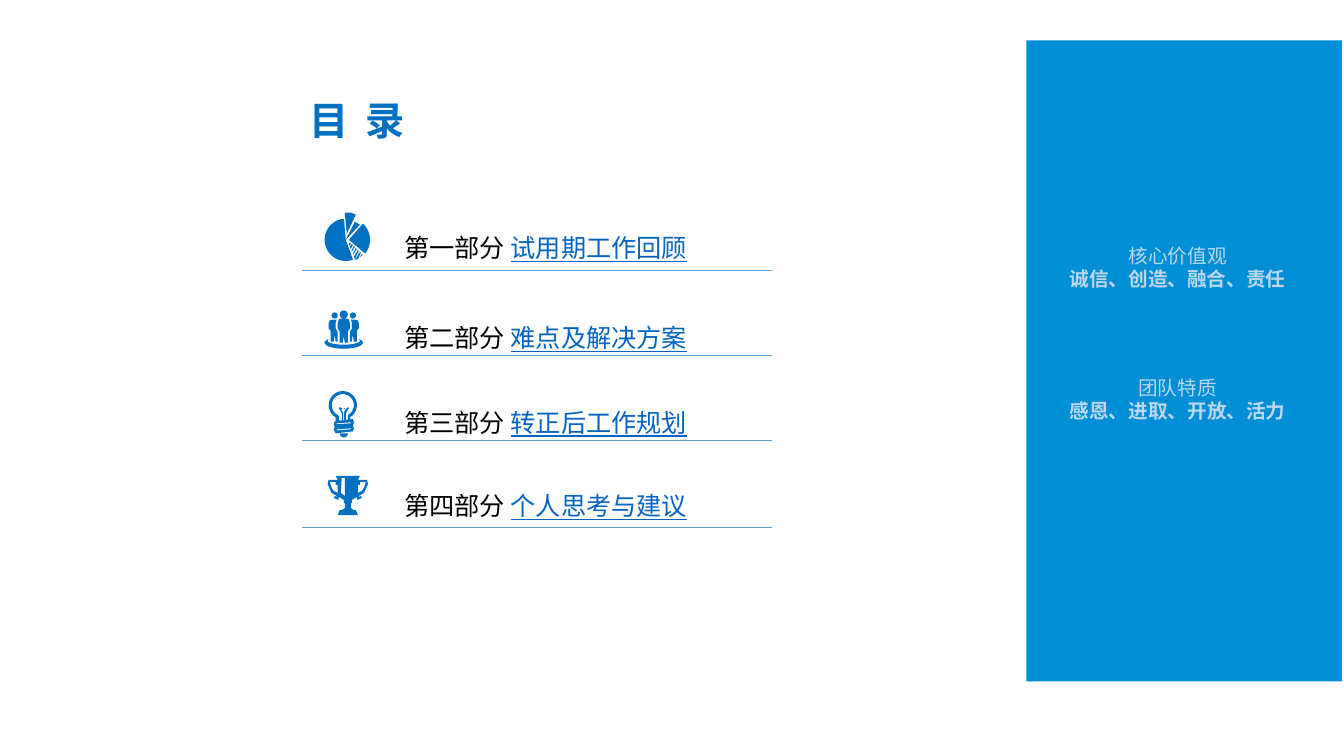
from math import cos, sin, radians
from lxml.etree import SubElement as Sub
from pptx import Presentation
from pptx.dml.color import RGBColor as RGB
from pptx.enum.shapes import MSO_CONNECTOR as Link, MSO_SHAPE as Shape
from pptx.enum.text import MSO_ANCHOR as Anchor, MSO_AUTO_SIZE as Auto, PP_ALIGN as Align
from pptx.oxml.ns import qn
from pptx.util import Inches, Pt

FONT = "Noto Sans CJK SC"
HUES = {"panel": "008ED6", "pale": "BDD7EE", "main": "0070C0",
        "rule": "5B9BD5", "text": "000000", "link": "0563C1"}


def write(par, text, size=18, hue="text", bold=False, under=False, gap=0):
    run = par.add_run()
    run.text = text
    font = run.font
    font.size, font.bold, font.underline = Pt(size), bold, under
    font.color.rgb = RGB.from_string(HUES[hue])
    font.name = FONT
    props = run._r.get_or_add_rPr()
    Sub(props, qn("a:ea")).set("typeface", FONT)
    if gap:
        props.set("spc", str(gap))


def arc(x, y, rx, ry, start=0, end=360):
    turns = [radians(start + (end - start) * i / 24) for i in range(25)]
    return [(x + rx * cos(t), y + ry * sin(t)) for t in turns]


deck = Presentation()
deck.slide_width, deck.slide_height = Inches(13.33), Inches(7.5)
slide = deck.slides.add_slide(deck.slide_layouts[5])
shapes = slide.shapes

panel = shapes.add_shape(Shape.RECTANGLE, Inches(10.18), Inches(0.4), Inches(3.13), Inches(6.36))
panel.shadow.inherit = False
panel.fill.solid()
panel.fill.fore_color.rgb = RGB.from_string(HUES["panel"])
panel.line.fill.background()

for left, top, width, head, words in [
    (10.03, 2.37, 3.3, "核心价值观", "诚信、创造、融合、责任"),
    (10.12, 3.68, 3.12, "团队特质", "感恩、进取、开放、活力"),
]:
    frame = shapes.add_textbox(Inches(left), Inches(top), Inches(width), Inches(0.57)).text_frame
    frame.word_wrap = True
    for par, text, bold in [(frame.paragraphs[0], head, False),
                            (frame.add_paragraph(), words, True)]:
        par.alignment = Align.CENTER
        write(par, text, size=14, hue="pale", bold=bold)

title = shapes.title
title.left, title.top, title.width, title.height = map(Inches, (2.97, 0.91, 2.61, 0.57))
frame = title.text_frame
frame.vertical_anchor, frame.auto_size = Anchor.TOP, Auto.NONE
frame.paragraphs[0].alignment = Align.LEFT
write(frame.paragraphs[0], "目 录", size=28, hue="main", bold=True, gap=300)

pie = [
    [(3.46, 2.38)] + arc(3.45, 2.38, 0.22, 0.22, -47, 38),
    [(3.43, 2.38), (3.57, 2.23), (3.52, 2.2)],
    [(3.43, 2.38)] + arc(3.43, 2.38, 0.21, 0.21, 70, 265),
    [(3.44, 2.32), (3.53, 2.13), (3.48, 2.11), (3.42, 2.11)],
    [(3.6, 2.53), (3.57, 2.55), (3.59, 2.52)],
    [(3.55, 2.57), (3.58, 2.51), (3.57, 2.5), (3.52, 2.58)],
    [(3.52, 2.57), (3.56, 2.49), (3.55, 2.48), (3.51, 2.55)],
    [(3.5, 2.53), (3.54, 2.47), (3.53, 2.46), (3.5, 2.52)],
    [(3.49, 2.5), (3.52, 2.45), (3.51, 2.44), (3.49, 2.48)],
    [(3.48, 2.47), (3.5, 2.43), (3.49, 2.42), (3.47, 2.45)],
    [(3.47, 2.44), (3.48, 2.41), (3.47, 2.41), (3.46, 2.42)],
]

side = [(3.35, 3.29), (3.33, 3.26), (3.33, 3.2), (3.34, 3.17), (3.3, 3.17),
        (3.27, 3.18), (3.26, 3.21), (3.26, 3.26), (3.28, 3.28), (3.28, 3.39),
        (3.31, 3.39), (3.32, 3.32), (3.33, 3.39), (3.35, 3.39)]
half = [(3.41, 3.16), (3.38, 3.16), (3.36, 3.17), (3.35, 3.2), (3.35, 3.26),
        (3.37, 3.29), (3.37, 3.4), (3.4, 3.4), (3.41, 3.33)]
team = [
    arc(3.41, 3.4, 0.19, 0.06, -38, 218) + arc(3.41, 3.38, 0.16, 0.04, 195, -15),
    arc(3.32, 3.13, 0.03, 0.03),
    arc(3.5, 3.13, 0.03, 0.03),
    arc(3.41, 3.12, 0.04, 0.04),
    side,
    [(6.82 - x, y) for x, y in side],
    half + [(6.82 - x, y) for x, y in half[::-1]],
]

bulb = [
    arc(3.4, 4.02, 0.14, 0.14, 120, 420) + [
        (3.48, 4.16), (3.5, 4.16), (3.51, 4.19), (3.5, 4.23), (3.51, 4.25),
        (3.5, 4.28), (3.33, 4.3), (3.31, 4.26), (3.32, 4.24), (3.31, 4.21),
        (3.32, 4.18), (3.33, 4.18)],
    arc(3.4, 4.02, 0.11, 0.11, 118, 422) + [
        (3.45, 4.14), (3.45, 4.16), (3.43, 4.17), (3.43, 4.1), (3.46, 4.05),
        (3.45, 4.04), (3.43, 4.06), (3.42, 4.05), (3.4, 4.06), (3.39, 4.05),
        (3.37, 4.04), (3.36, 4.05), (3.39, 4.1), (3.39, 4.17), (3.36, 4.17),
        (3.36, 4.13)],
    [(3.38, 4.06), (3.4, 4.09), (3.4, 4.17), (3.41, 4.17), (3.41, 4.09), (3.43, 4.06)],
    arc(3.41, 4.3, 0.04, 0.04, 0, 180),
    [(3.48, 4.25), (3.34, 4.26), (3.34, 4.27), (3.48, 4.26)],
    [(3.48, 4.19), (3.34, 4.2), (3.34, 4.21), (3.48, 4.2)],
]

edge = [(3.33, 4.72), (3.35, 4.76), (3.26, 4.76), (3.25, 4.8), (3.27, 4.85),
        (3.29, 4.89), (3.34, 4.92), (3.34, 4.93), (3.32, 4.92), (3.31, 4.94),
        (3.36, 4.96), (3.36, 4.93), (3.41, 4.96), (3.41, 4.99), (3.42, 4.99),
        (3.42, 5.04), (3.39, 5.06), (3.37, 5.06), (3.35, 5.11)]
grip = [(3.35, 4.89), (3.35, 4.81), (3.33, 4.81), (3.33, 4.78), (3.27, 4.78),
        (3.29, 4.84), (3.31, 4.87)]
cup = [
    edge + [(6.9 - x, y) for x, y in edge[::-1]],
    grip,
    [(6.9 - x, y) for x, y in grip],
    [(3.39, 4.74), (3.38, 4.89), (3.42, 4.92), (3.42, 4.74)],
]

for icon in (pie, team, cup, bulb):
    loops = [[(Inches(x), Inches(y)) for x, y in loop] for loop in icon]
    form = shapes.build_freeform(*loops[0][0])
    for i, points in enumerate(loops):
        if i:
            form.move_to(*points[0])
        form.add_line_segments(points[1:], close=True)
    mark = form.convert_to_shape()
    mark.shadow.inherit = False
    mark.fill.solid()
    mark.fill.fore_color.rgb = RGB.from_string(HUES["main"])
    mark.line.fill.background()

for part, topic, top, high, space, base in [
    ("第一部分 ", "试用期工作回顾", 2.2, 0.43, 1.2, 2.68),
    ("第二部分 ", "难点及解决方案", 3.15, 0.4, 1, 3.53),
    ("第三部分 ", "转正后工作规划", 3.99, 0.4, 1, 4.37),
    ("第四部分 ", "个人思考与建议", 4.82, 0.4, 1, 5.23),
]:
    rule = shapes.add_connector(Link.STRAIGHT, Inches(3), Inches(base), Inches(7.66), Inches(base))
    rule.line.color.rgb = RGB.from_string(HUES["rule"])
    rule.line.width = Pt(0.5)
    Sub(rule._element.spPr, qn("a:effectLst"))
    frame = shapes.add_textbox(Inches(3.91), Inches(top), Inches(3.05), Inches(high)).text_frame
    frame.word_wrap = False
    par = frame.paragraphs[0]
    par.line_spacing = space
    write(par, part)
    write(par, topic, hue="link", under=True)

deck.save("out.pptx")
